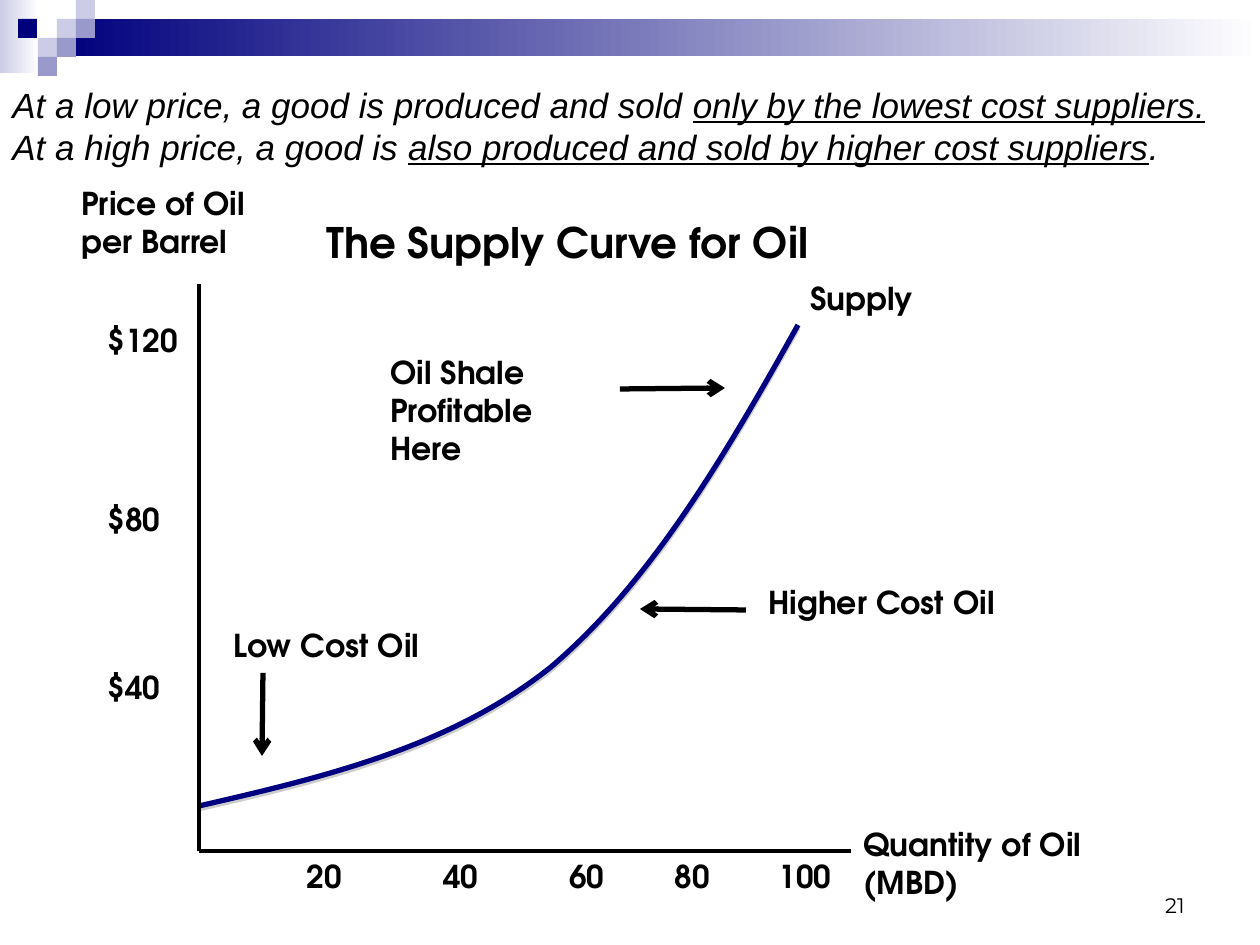
"""Build the slide on the supply curve for oil."""
from lxml.etree import SubElement
from pptx import Presentation
from pptx.dml.color import RGBColor
from pptx.enum.shapes import MSO_CONNECTOR, MSO_SHAPE
from pptx.enum.text import MSO_ANCHOR, PP_ALIGN
from pptx.oxml import parse_xml
from pptx.oxml.ns import nsdecls, qn
from pptx.util import Pt

SCALE = 914400 / 126
COLORS = {name: RGBColor.from_string(value) for name, value in {
    "black": "000000", "white": "FFFFFF", "navy": "00007D", "curve": "000080",
    "pale": "CCCCE6", "lilac": "9999CC"}.items()}


def px(*lengths):
    return [round(v * SCALE) for v in lengths]


def text(runs, box, size=18, font="TeX Gyre Adventor", bold=True, italic=False,
         align=PP_ALIGN.LEFT, anchor=MSO_ANCHOR.TOP, wrap=True, fill=None):
    sp = s.shapes.add_textbox(*px(*box))
    if fill:
        sp.fill.solid()
        sp.fill.fore_color.rgb = COLORS[fill]
    tf = sp.text_frame
    tf.word_wrap = wrap
    tf.vertical_anchor = anchor
    p = tf.paragraphs[0]
    p.alignment = align
    for words, underline in [(runs, False)] if isinstance(runs, str) else runs:
        if words == "\n":
            p.add_line_break()
            continue
        r = p.add_run()
        r.text = words
        r.font.size, r.font.name = Pt(size), font
        r.font.bold, r.font.italic, r.font.underline = bold, italic, underline
        r.font.color.rgb = COLORS["black"]


prs = Presentation()
prs.slide_width, prs.slide_height = px(1260, 945)
s = prs.slides.add_slide(prs.slide_layouts[6])

bands = [((0, 0, 39, 73), "pale", "white"), ((57, 19, 1203, 37), "navy", "white")]
squares = [((x, y, 19, 19), color, None) for x, y, color in [
    (57, 19, "pale"), (76, 0, "pale"), (76, 19, "lilac"), (38, 38, "pale"),
    (18, 19, "navy"), (57, 38, "lilac"), (38, 57, "lilac")]]
for box, color, end in bands + squares:
    sp = s.shapes.add_shape(MSO_SHAPE.RECTANGLE, *px(*box))
    sp.shadow.inherit = False
    sp.line.fill.background()
    if end:
        sp.fill.gradient()
        sp.fill.gradient_angle = 0
        for stop, name in zip(sp.fill.gradient_stops, (color, end)):
            stop.color.rgb = COLORS[name]
    else:
        sp.fill.solid()
        sp.fill.fore_color.rgb = COLORS[color]

text([("At a low price, a good is produced and sold ", False),
      ("only by the lowest cost suppliers.", True), ("\n", False),
      ("At a high price, a good is ", False),
      ("also produced and sold by higher cost suppliers", True), (".", False)],
     (0, 63, 1260, 125), size=20, font="Arial", bold=False, italic=True,
     anchor=MSO_ANCHOR.MIDDLE)
text("21", (903, 861, 294, 63), size=12, font="Montserrat", bold=False,
     align=PP_ALIGN.RIGHT, anchor=MSO_ANCHOR.BOTTOM)

points = [px(*pt) for pt in [(199, 806), (325, 777), (451, 747), (551, 667),
                             (651, 582), (725, 456), (798, 325)]]
builder = s.shapes.build_freeform(*points[0])
builder.add_line_segments(points[1:], close=False)
curve = builder.convert_to_shape()
curve.fill.background()
curve.line.color.rgb = COLORS["curve"]
curve.line.width = Pt(3)
segments = list(curve.element.iter(qn("a:lnTo")))
outline = segments[0].getparent()
for i in range(0, len(segments), 3):
    bezier = SubElement(outline, qn("a:cubicBezTo"))
    for segment in segments[i:i + 3]:
        bezier.append(segment[0])
        outline.remove(segment)
curve.element.spPr.append(parse_xml(
    f'<a:effectLst {nsdecls("a")}><a:outerShdw dist="20320" dir="5400000">'
    '<a:srgbClr val="808080"><a:alpha val="38000"/></a:srgbClr>'
    '</a:outerShdw></a:effectLst>'))

for x1, y1, x2, y2, width, arrow in [
        (199, 284, 199, 851, 2, False), (199, 851, 851, 851, 2, False),
        (620, 389, 725, 388, 3, True), (263, 673, 262, 756, 3, True),
        (746, 610, 640, 609, 3, True)]:
    line = s.shapes.add_connector(MSO_CONNECTOR.STRAIGHT, *px(x1, y1, x2, y2))
    line.line.color.rgb = COLORS["black"]
    line.line.width = Pt(width)
    if arrow:
        SubElement(line.line._get_or_add_ln(), qn("a:tailEnd"), type="arrow")
    SubElement(line.element.spPr, qn("a:effectLst"))

for quantity, x in [("20", 294), ("40", 431), ("60", 557), ("80", 662), ("100", 766)]:
    text(quantity, (x, 851, 105 if quantity == "100" else 79, 50))
for price, y in [("$120", 315), ("$80", 494), ("$40", 662)]:
    text(price, (95, y, 105, 50))

text("Price of Oil per Barrel", (69, 178, 189, 127))
text("Quantity of Oil (MBD)", (851, 819, 336, 89))
text("Oil Shale Profitable Here", (378, 347, 242, 127))
for label, box in [("Supply", (798, 273, 130, 50)),
                   ("Low Cost Oil", (221, 620, 215, 50)),
                   ("Higher Cost Oil", (756, 577, 252, 50))]:
    text(label, box, wrap=False)
text("The Supply Curve for Oil", (284, 210, 567, 64), size=24,
     align=PP_ALIGN.CENTER, fill="white")

prs.save("out.pptx")
